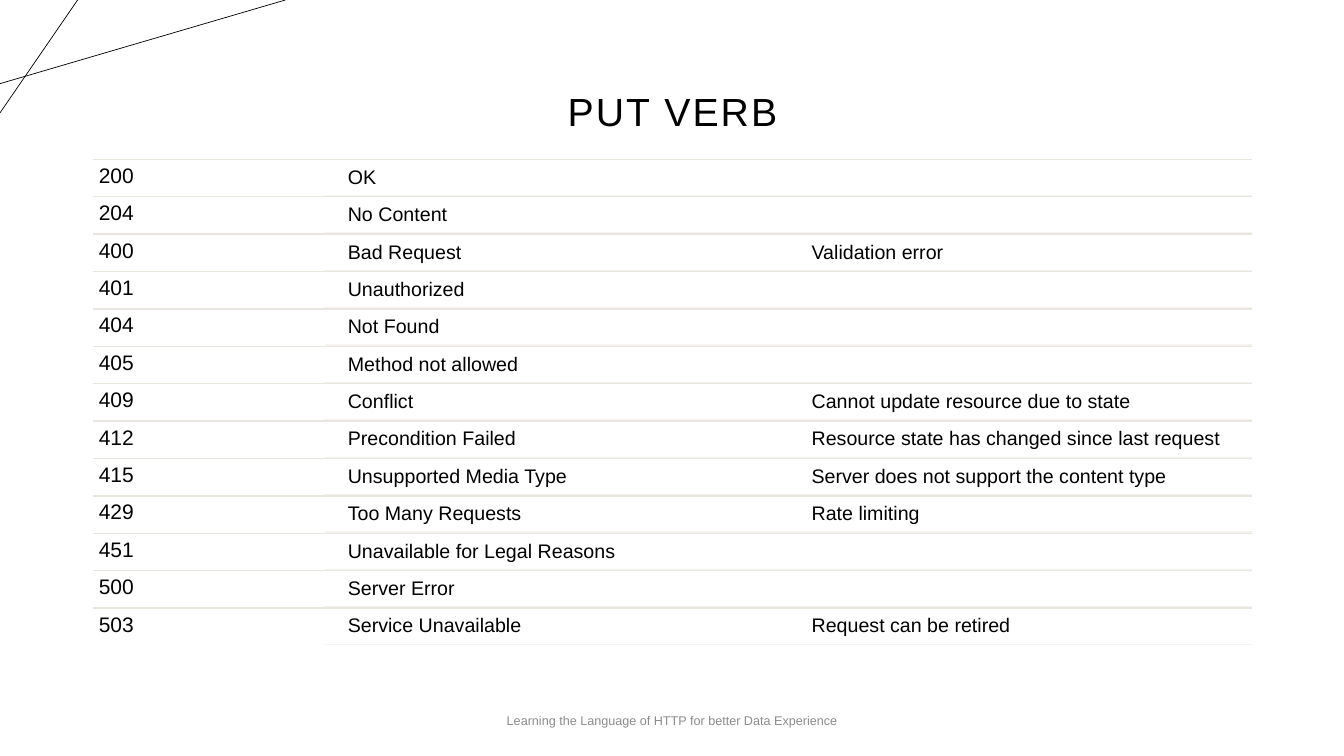
"""Build the slide that lists the status codes of the PUT verb."""
from dataclasses import dataclass

from lxml import etree
from pptx import Presentation
from pptx import util as u
from pptx.dml.color import RGBColor
from pptx.enum import shapes, text
from pptx.oxml import ns

BLACK = RGBColor(0x00, 0x00, 0x00)
GREY = RGBColor(0x8C, 0x8C, 0x8C)
RULE = RGBColor(0xE9, 0xE6, 0xDF)
PALE_RULE = RGBColor(0xF4, 0xF3, 0xF0)

WIDTH, HEIGHT = 13.33, 7.5
LEFT, TOP = 0.92, 1.58
COLUMN, ROW = 2.3, 0.371
COLUMNS = 5
INDENT = 0.17
INSET = 0.06


@dataclass(frozen=True)
class Status:
    """One status code with its meaning and an optional remark."""

    code: str
    meaning: str
    remark: str = ""


@dataclass(frozen=True)
class Line:
    """A straight line between two points, in inches."""

    start: tuple[float, float]
    end: tuple[float, float]
    color: RGBColor
    weight: float


STATUSES = [
    Status("200", "OK"),
    Status("204", "No Content"),
    Status("400", "Bad Request", "Validation error"),
    Status("401", "Unauthorized"),
    Status("404", "Not Found"),
    Status("405", "Method not allowed"),
    Status("409", "Conflict", "Cannot update resource due to state"),
    Status("412", "Precondition Failed", "Resource state has changed since last request"),
    Status("415", "Unsupported Media Type", "Server does not support the content type"),
    Status("429", "Too Many Requests", "Rate limiting"),
    Status("451", "Unavailable for Legal Reasons"),
    Status("500", "Server Error"),
    Status("503", "Service Unavailable", "Request can be retired"),
]

CORNER_LINES = [
    Line((0, 0.83), (2.83, 0), BLACK, 0.5),
    Line((0.77, 0), (0, 1.12), BLACK, 0.5),
]


def column_left(index: int) -> float:
    """Return the left edge of a grid column."""
    return LEFT + index * COLUMN


def draw_line(page, line: Line) -> None:
    """Draw a line without a shadow."""
    points = [u.Inches(value) for value in (*line.start, *line.end)]
    connector = page.shapes.add_connector(shapes.MSO_CONNECTOR.STRAIGHT, *points)
    connector.line.color.rgb = line.color
    connector.line.width = u.Pt(line.weight)
    etree.SubElement(connector._element.spPr, ns.qn("a:effectLst"))


def write(box, words: str, *, size: float, color: RGBColor = BLACK,
          align=text.PP_ALIGN.LEFT, anchor=text.MSO_ANCHOR.TOP,
          inset: float = INSET, leading: float = 0.9, tracking: float = 0) -> None:
    """Fill a box with one formatted paragraph."""
    frame = box.text_frame
    frame.word_wrap = True
    frame.auto_size = text.MSO_AUTO_SIZE.NONE
    frame.vertical_anchor = anchor
    frame.margin_left = frame.margin_right = u.Inches(inset)
    frame.margin_top = frame.margin_bottom = u.Inches(inset)
    para = frame.paragraphs[0]
    para.alignment = align
    para.line_spacing = leading
    span = para.add_run()
    span.text = words
    span.font.name = "Arial"
    span.font.size = u.Pt(size)
    span.font.color.rgb = color
    if tracking:
        span._r.get_or_add_rPr().set("spc", str(round(tracking * 100)))


def add_box(page, left: float, top: float, width: float, height: float):
    """Add an empty text box measured in inches."""
    return page.shapes.add_textbox(*map(u.Inches, (left, top, width, height)))


def draw_status(page, index: int, status: Status) -> None:
    """Draw one row of the list with its two rules."""
    top = TOP + index * ROW
    right = column_left(COLUMNS)
    draw_line(page, Line((LEFT, top), (right, top), RULE, 1))
    write(add_box(page, LEFT, top, COLUMN, ROW), status.code, size=15)
    for column, words in ((1, status.meaning), (3, status.remark)):
        if words:
            box = add_box(page, column_left(column) + INDENT, top + 0.02,
                          2 * COLUMN - INDENT, 0.34)
            write(box, words, size=14)
    bottom = top + 0.36
    draw_line(page, Line((column_left(1), bottom), (right, bottom), PALE_RULE, 1))


def main() -> None:
    """Build and save the deck."""
    deck = Presentation()
    deck.slide_width, deck.slide_height = u.Inches(WIDTH), u.Inches(HEIGHT)
    page = deck.slides.add_slide(deck.slide_layouts[5])
    for line in CORNER_LINES:
        draw_line(page, line)

    title = page.shapes.title
    title.left, title.top = u.Inches(LEFT), u.Inches(0.4)
    title.width, title.height = u.Inches(COLUMNS * COLUMN), u.Inches(1.45)
    write(title, "PUT VERB", size=28, align=text.PP_ALIGN.CENTER,
          anchor=text.MSO_ANCHOR.MIDDLE, inset=0.1, tracking=1.5)

    for index, status in enumerate(STATUSES):
        draw_status(page, index, status)

    footer = add_box(page, (WIDTH - 4.5) / 2, 6.95, 4.5, 0.4)
    write(footer, "Learning the Language of HTTP for better Data Experience",
          size=9, color=GREY, align=text.PP_ALIGN.CENTER,
          anchor=text.MSO_ANCHOR.MIDDLE, leading=1.0)
    deck.save("out.pptx")


if __name__ == "__main__":
    main()
